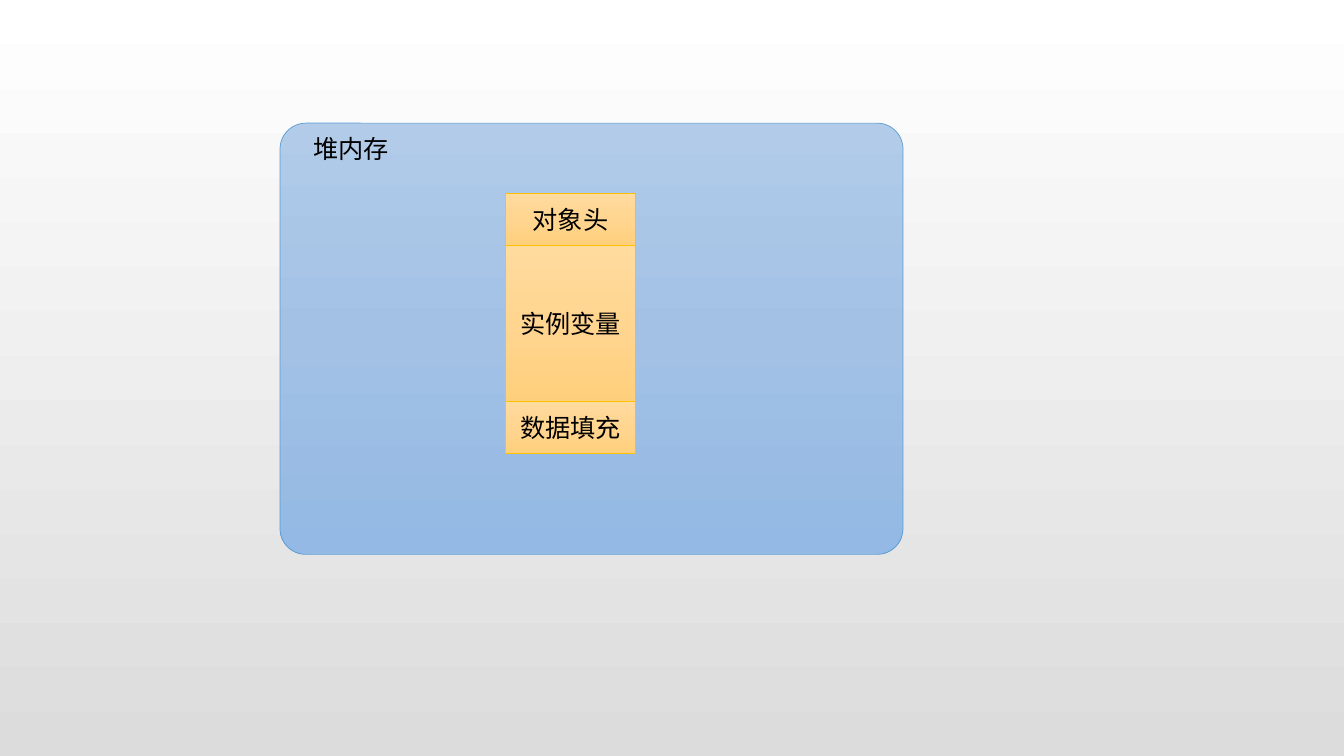
from copy import deepcopy
from dataclasses import dataclass

from pptx import Presentation
from pptx.dml.color import RGBColor
from pptx.enum.shapes import MSO_SHAPE
from pptx.enum.text import MSO_ANCHOR, MSO_AUTO_SIZE, PP_ALIGN
from pptx.util import Pt


@dataclass(frozen=True)
class Theme:
    """Colours, font and sizes used on the slide."""
    background: tuple = ("FFFFFF", "DCDCDC")
    heap: tuple = ("B1CBE9", "A3C1E5", "93B9E4")
    heap_line: str = "5B9BD5"
    block: tuple = ("FFDB9E", "FFD590", "FFD07C")
    block_line: str = "FFC000"
    text: str = "000000"
    font: str = "Arial"
    size: float = 18
    line_width: float = 0.5


class SlideBuilder:
    """Holds the theme and the current slide and adds elements to it."""

    def __init__(self, s, theme):
        """Keep the slide and its theme."""
        self.s = s
        self.theme = theme

    def gradient(self, fill, element, colours):
        """Fill top to bottom with evenly spaced colours."""
        fill.gradient()
        fill.gradient_angle = 270
        stop_list = element.xpath(".//a:gsLst")[0]
        for _ in colours[2:]:
            stop_list.append(deepcopy(stop_list[0]))
        for i, (stop, colour) in enumerate(zip(fill.gradient_stops, colours)):
            stop.color.rgb = RGBColor.from_string(colour)
            stop.position = i / (len(colours) - 1)

    def background(self):
        """Paint the slide background."""
        self.gradient(self.s.background.fill, self.s.element,
                      self.theme.background)

    def set_text(self, tf, text, align):
        """Put one line of themed text in a text frame."""
        p = tf.paragraphs[0]
        p.text = text
        p.alignment = align
        p.font.name = self.theme.font
        p.font.size = Pt(self.theme.size)
        p.font.color.rgb = RGBColor.from_string(self.theme.text)

    def box(self, shapes, kind, bounds, colours, line, text=""):
        """Add a gradient shape, with centred text if given."""
        sp = shapes.add_shape(kind, *map(Pt, bounds))
        sp.shadow.inherit = False
        self.gradient(sp.fill, sp.element, colours)
        sp.line.color.rgb = RGBColor.from_string(line)
        sp.line.width = Pt(self.theme.line_width)
        if text:
            sp.text_frame.vertical_anchor = MSO_ANCHOR.MIDDLE
            self.set_text(sp.text_frame, text, PP_ALIGN.CENTER)
        return sp

    def heap(self, bounds):
        """Add the rounded panel for heap memory."""
        sp = self.box(self.s.shapes, MSO_SHAPE.ROUNDED_RECTANGLE, bounds,
                      self.theme.heap, self.theme.heap_line)
        sp.adjustments[0] = 0.06

    def stack(self, left, top, width, blocks):
        """Add a group of touching blocks, from top to bottom."""
        group = self.s.shapes.add_group_shape()
        for text, height in blocks:
            self.box(group.shapes, MSO_SHAPE.RECTANGLE,
                     (left, top, width, height),
                     self.theme.block, self.theme.block_line, text)
            top += height

    def label(self, bounds, text):
        """Add a text box that fits its single line."""
        tf = self.s.shapes.add_textbox(*map(Pt, bounds)).text_frame
        tf.word_wrap = False
        tf.auto_size = MSO_AUTO_SIZE.SHAPE_TO_FIT_TEXT
        self.set_text(tf, text, PP_ALIGN.LEFT)


def main():
    """Build the object layout slide and save it."""
    prs = Presentation()
    prs.slide_width, prs.slide_height = Pt(960), Pt(540)
    s = prs.slides.add_slide(prs.slide_layouts[6])
    builder = SlideBuilder(s, Theme())
    builder.background()
    builder.heap((200, 88, 445, 308))
    builder.stack(361, 138.2, 93,
                  [("对象头", 37), ("实例变量", 111.5), ("数据填充", 37)])
    builder.label((216.5, 92, 68.5, 29), "堆内存")
    prs.save("out.pptx")


main()
